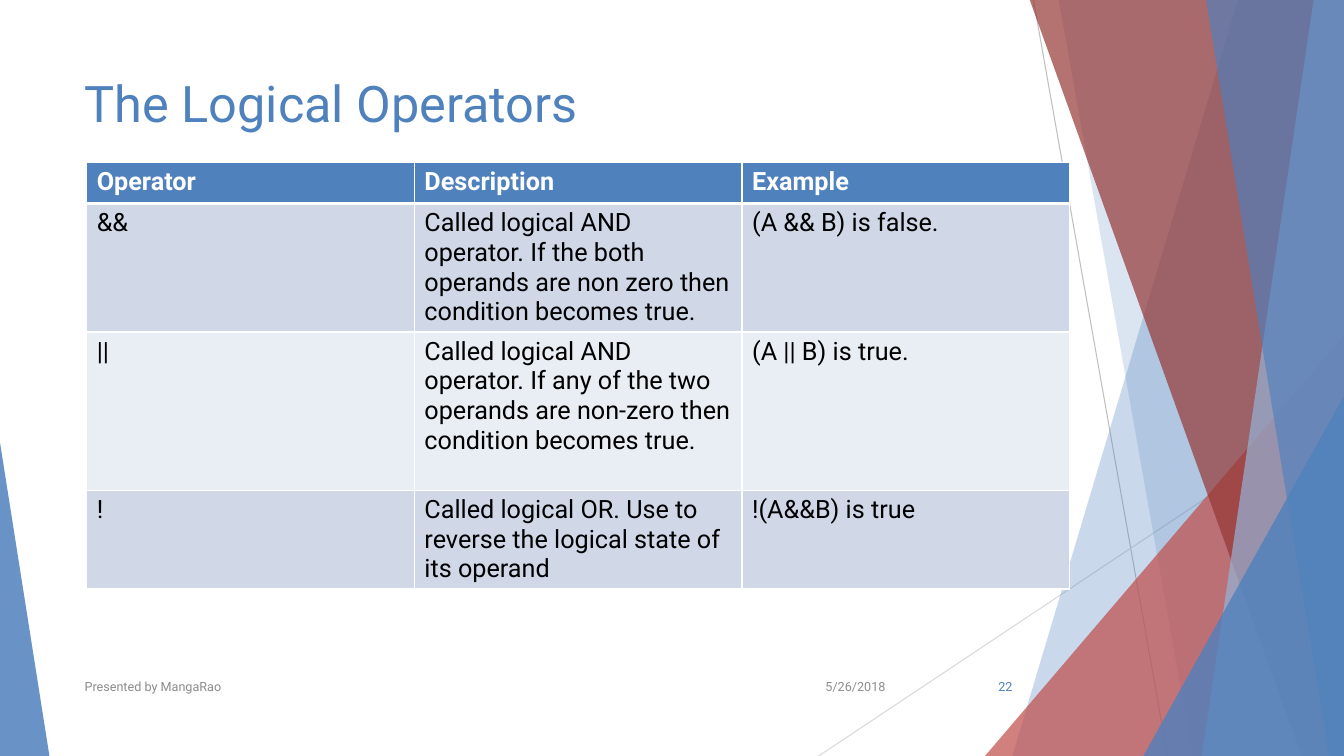
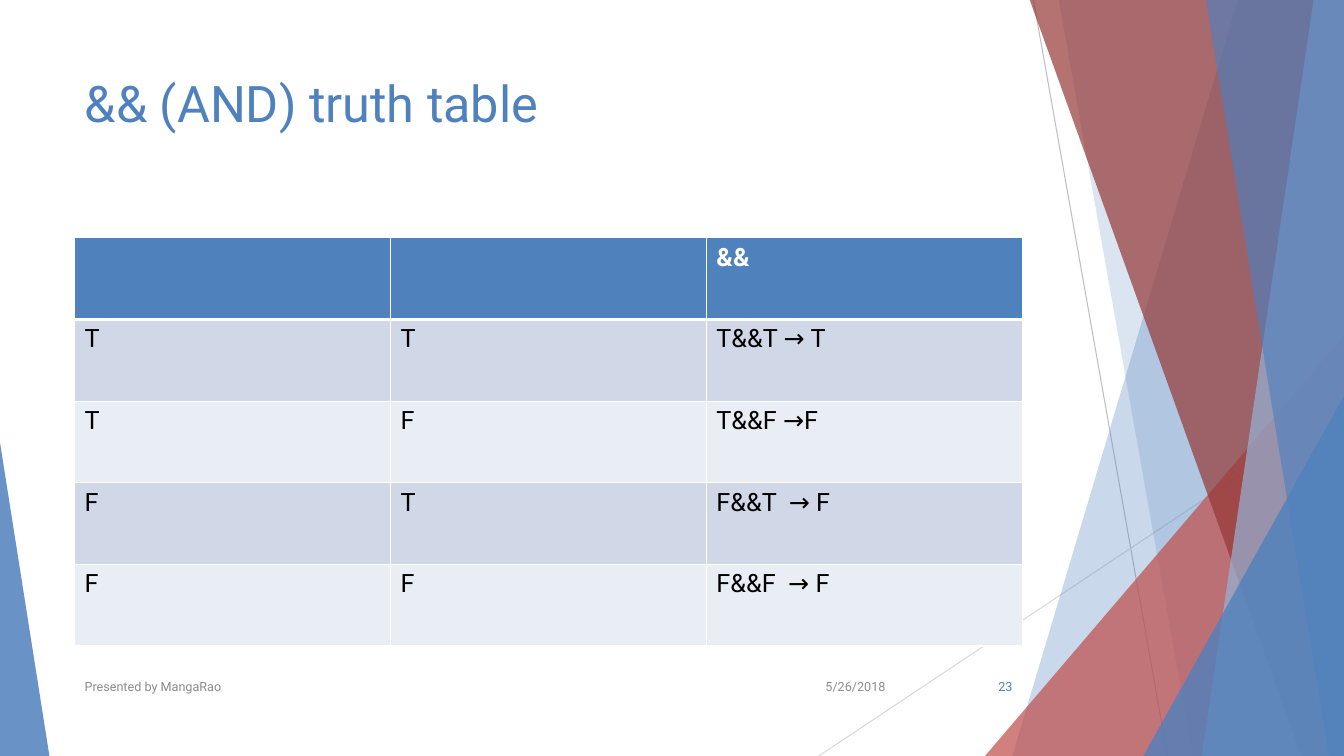
import pptx
import pptx.util
import pptx.dml.color
import pptx.enum.shapes
import pptx.enum.text
import pptx.oxml
import pptx.oxml.ns

Inches = pptx.util.Inches
Pt = pptx.util.Pt
ALIGN = pptx.enum.text.PP_ALIGN
ANCHOR = pptx.enum.text.MSO_ANCHOR

WIDE, HIGH = 13.33, 7.5
BLUE, RED, WINE, SKY = "4F81BD", "C0504D", "953735", "95B3D7"
WHITE, BLACK, GREY = "FFFFFF", "000000", "8C8C8C"
BANDS = "D0D8E8", "E9EDF4"

TITLE = {"size": Pt(36), "name": "Roboto", "bold": False}
HEAD = {"size": Pt(18), "name": "Roboto", "bold": True}
BODY = {"size": Pt(18), "name": "Roboto", "bold": False}
FOOT = {"size": Pt(9), "name": "Roboto", "bold": False}

LOGIC = [
    ["Operator", "Description", "Example"],
    ["&&", "Called logical AND operator. If the both operands are non zero "
     "then condition becomes true.", "(A && B) is false."],
    ["||", "Called logical AND operator. If any of the two operands are "
     "non-zero then condition becomes true.", "(A || B) is true."],
    ["!", "Called logical OR. Use to reverse the logical state of its operand",
     "!(A&&B) is true"],
]
TRUTH = [
    ["", "", "&&"],
    ["T", "T", "T&&T → T"],
    ["T", "F", "T&&F →F"],
    ["F", "T", "F&&T  → F"],
    ["F", "F", "F&&F  → F"],
]


def color(code):
    return pptx.dml.color.RGBColor.from_string(code)


def style(para, form, code):
    for run in para.runs:
        for key, value in form.items():
            setattr(run.font, key, value)
        run.font.color.rgb = color(code)


def node(tag, **attrs):
    """Make a drawing element such as a:alpha."""
    item = pptx.oxml.parse_xml(f"<{tag} {pptx.oxml.ns.nsdecls('a')}/>")
    for key, value in attrs.items():
        item.set(key, str(value))
    return item


def paint(shape, code, alpha):
    """Fill a shape with a see-through colour, without outline or shadow."""
    shape.shadow.inherit = False
    shape.line.fill.background()
    shape.fill.solid()
    shape.fill.fore_color.rgb = color(code)
    tint = shape._element.spPr.find(".//" + pptx.oxml.ns.qn("a:srgbClr"))
    tint.append(node("a:alpha", val=alpha * 1000))


def line(shapes, ends, code):
    link = shapes.add_connector(pptx.enum.shapes.MSO_CONNECTOR.STRAIGHT,
                                *map(Inches, ends))
    link.line.color.rgb = color(code)
    link.line.width = Pt(0.75)
    link._element.spPr.append(node("a:effectLst"))


def band(shapes, top, foot, code, alpha):
    """Draw a band from a slanted left side to the right slide edge."""
    spots = [(WIDE, -0.01), (WIDE, HIGH), (foot, HIGH)]
    pen = shapes.build_freeform(Inches(top), Inches(-0.01))
    pen.add_line_segments([(Inches(x), Inches(y)) for x, y in spots])
    paint(pen.convert_to_shape(), code, alpha)


def wedge(shapes, left, top, width, tip, code, alpha):
    """Draw a triangle that stands on the bottom edge of the slide."""
    shape = shapes.add_shape(
        pptx.enum.shapes.MSO_SHAPE.ISOSCELES_TRIANGLE,
        Inches(left), Inches(top), Inches(width), Inches(HIGH - top))
    shape.adjustments[0] = tip
    paint(shape, code, alpha)


def facets(slide, layout):
    """Draw the facets once and move them to the layout."""
    group = slide.shapes.add_group_shape()
    shapes = group.shapes
    line(shapes, (10.25, 0, 11.58, HIGH), "BFBFBF")
    line(shapes, (WIDE, 4.03, 8.12, HIGH), "D9D9D9")
    band(shapes, 12.28, 10.04, BLUE, 30)
    band(shapes, 10.5, 11.83, BLUE, 20)
    wedge(shapes, 9.77, 3.33, 3.56, 1, RED, 72)
    band(shapes, 10.21, 12.91, WINE, 70)
    band(shapes, 13.03, 11.92, SKY, 70)
    band(shapes, 11.96, 13.18, BLUE, 65)
    wedge(shapes, 11.34, 3.93, 1.99, 1, BLUE, 80)
    wedge(shapes, 0, 4.39, 0.49, 0, BLUE, 85)
    for count, item in enumerate(group._element.xpath(".//p:cNvPr"), 100):
        item.set("id", str(count))
    layout.shapes._spTree.append(group._element)


def place(title):
    box = {"left": 0.74, "top": 0.67, "width": 9.4, "height": 1.44}
    for key, value in box.items():
        setattr(title, key, Inches(value))


def head(slide, text):
    frame = slide.shapes.title.text_frame
    frame.text = text
    frame.vertical_anchor = ANCHOR.TOP
    frame.paragraphs[0].alignment = ALIGN.LEFT
    style(frame.paragraphs[0], TITLE, BLUE)


def label(slide, left, width, text, align, code):
    box = slide.shapes.add_textbox(Inches(left), Inches(6.61),
                                   Inches(width), Inches(0.4))
    frame = box.text_frame
    frame.word_wrap = True
    frame.vertical_anchor = ANCHOR.MIDDLE
    frame.text = text
    frame.paragraphs[0].alignment = align
    style(frame.paragraphs[0], FOOT, code)


def footer(slide, number):
    label(slide, 7.88, 1, "5/26/2018", ALIGN.RIGHT, GREY)
    label(slide, 0.74, 6.89, "Presented by MangaRao", ALIGN.LEFT, GREY)
    label(slide, 9.39, 0.75, str(number), ALIGN.RIGHT, BLUE)


def border(cell, widths):
    """Add white cell borders, in the order left, right, top, bottom."""
    props = cell._tc.get_or_add_tcPr()
    for side, width in zip("LRTB", widths):
        edge = node(f"a:ln{side}", w=Pt(width))
        fill = node("a:solidFill")
        fill.append(node("a:srgbClr", val=WHITE))
        edge.append(fill)
        props.append(edge)


def grid(slide, rows, left, top, width, heights):
    """Add a table with a blue heading row and banded body rows."""
    table = slide.shapes.add_table(
        len(rows), len(rows[0]), Inches(left), Inches(top),
        Inches(width), Inches(sum(heights))).table
    for r, texts in enumerate(rows):
        table.rows[r].height = Inches(heights[r])
        for c, text in enumerate(texts):
            cell = table.cell(r, c)
            cell.text = text
            style(cell.text_frame.paragraphs[0], BODY if r else HEAD,
                  BLACK if r else WHITE)
            border(cell, (1, 1, 3 if r == 1 else 1, 1 if r else 3))
            cell.fill.solid()
            cell.fill.fore_color.rgb = color(BANDS[(r - 1) % 2] if r else BLUE)


def main():
    deck = pptx.Presentation()
    deck.slide_width, deck.slide_height = Inches(WIDE), Inches(HIGH)
    layout = deck.slide_layouts.get_by_name("Title Only")
    place(layout.placeholders[0])
    pages = [
        ("The Logical Operators", LOGIC, 0.86, 1.61, 9.75,
         [0.41, 1.27, 1.57, 0.98]),
        ("&& (AND) truth table", TRUTH, 0.74, 2.36, 9.4, [0.81] * 5),
    ]
    for number, (title, *table) in enumerate(pages, 22):
        slide = deck.slides.add_slide(layout)
        if number == 22:
            facets(slide, layout)
        head(slide, title)
        grid(slide, *table)
        footer(slide, number)
    deck.save("out.pptx")


if __name__ == "__main__":
    main()
